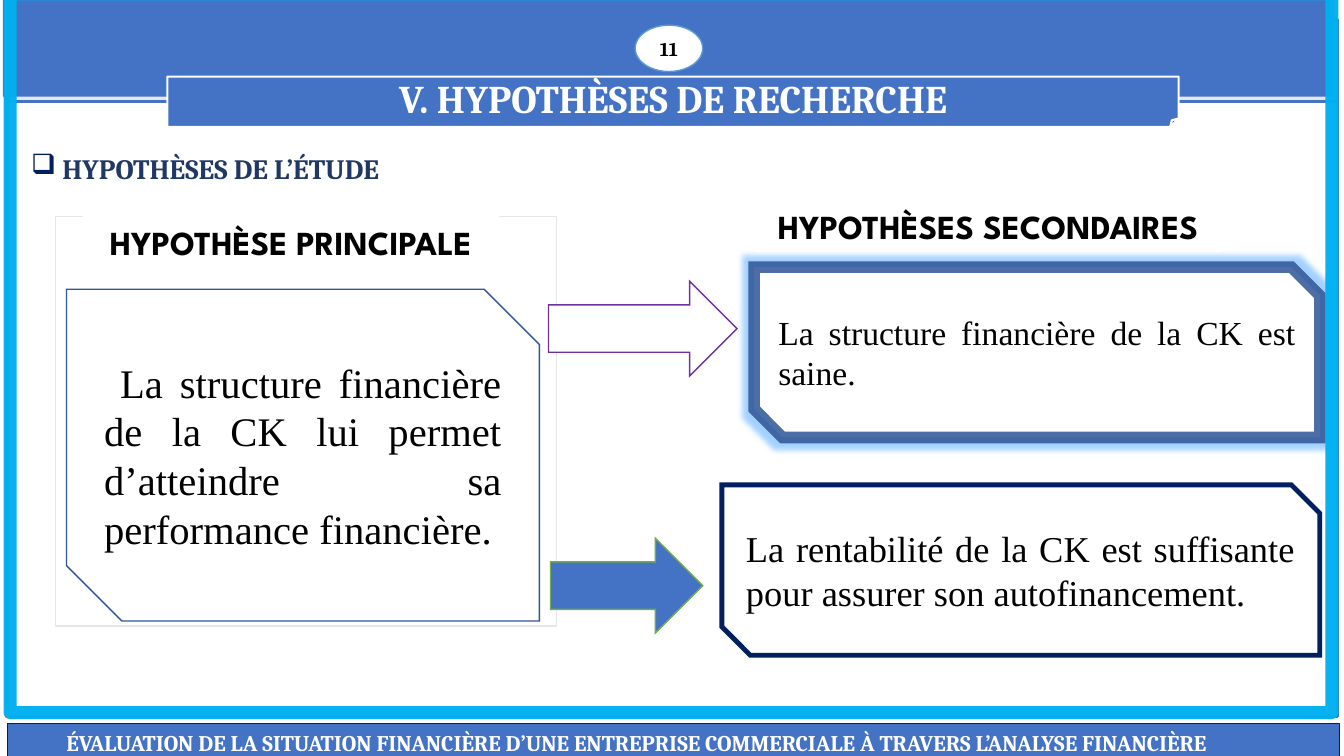
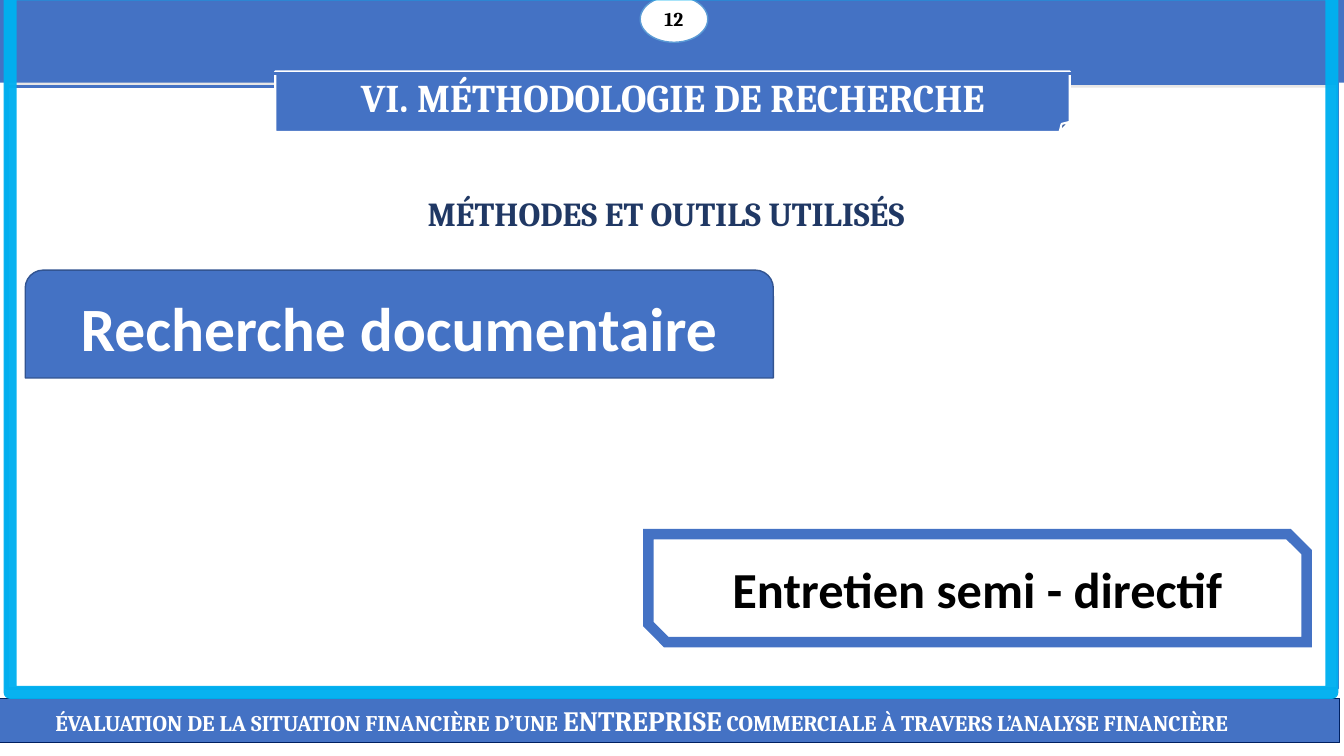
from dataclasses import dataclass

from lxml.etree import SubElement
from pptx import Presentation
from pptx.dml.color import RGBColor
from pptx.enum.shapes import MSO_CONNECTOR, MSO_SHAPE
from pptx.enum.text import MSO_ANCHOR, PP_ALIGN
from pptx.oxml.ns import qn
from pptx.util import Inches, Pt


@dataclass(frozen=True)
class Theme:
    # Colours
    blue: str = "4472C4"
    deep_blue: str = "2F5597"
    tab_edge: str = "325491"
    navy: str = "002060"
    heading: str = "203864"
    cyan: str = "00B0F0"
    oval_edge: str = "5B9BD5"
    glow: str = "66B3FF"
    grey: str = "E7E6E6"
    purple: str = "7030A0"
    green: str = "70AD47"
    white: str = "FFFFFF"
    black: str = "000000"
    # Fonts
    serif: str = "Cambria"
    body: str = "Times New Roman"
    label: str = "League Spartan"
    sans: str = "Calibri"
    # Type sizes
    title_size: int = 28
    label_size: int = 24
    heading_size: int = 20
    footer_size: int = 16
    number_size: int = 14
    main_size: int = 29
    tab_size: int = 44
    method_size: int = 36


THEME = Theme()


def write(box, text, size, font=THEME.serif, color=THEME.white, bold=True,
          align=PP_ALIGN.LEFT, anchor=MSO_ANCHOR.MIDDLE, spacing=None,
          indent=0, margin=0, bullet=None):
    """Fill a box with one paragraph; text is a string or (text, size) pairs."""
    frame = box.text_frame
    frame.word_wrap = True
    frame.vertical_anchor = anchor
    para = frame.paragraphs[0]
    para.alignment = align
    if spacing:
        para.line_spacing = spacing
    if indent or margin:
        properties = para._p.get_or_add_pPr()
        properties.set("marL", str(Inches(margin)))
        properties.set("indent", str(Inches(indent)))
    if bullet:
        tint = SubElement(properties, qn("a:buClr"))
        SubElement(tint, qn("a:srgbClr"), val=THEME.navy)
        SubElement(properties, qn("a:buChar"), char=bullet)
    pieces = [(text, size)] if isinstance(text, str) else text
    for piece, piece_size in pieces:
        span = para.add_run()
        span.text = piece
        span.font.size = Pt(piece_size)
        span.font.name = font
        span.font.bold = bold
        span.font.color.rgb = RGBColor.from_string(color)


class Slides:
    """Holds the deck, its style and the current page."""

    def __init__(self, theme):
        self.theme = theme
        self.deck = Presentation()
        self.deck.slide_width = Inches(13.33)
        self.deck.slide_height = Inches(7.5)
        self.page = None

    def add_page(self):
        self.page = self.deck.slides.add_slide(self.deck.slide_layouts[6])

    def shape(self, place, kind=MSO_SHAPE.RECTANGLE, fill=None, edge=None,
              width=1, opacity=None, miter=False):
        box = self.page.shapes.add_shape(kind, *map(Inches, place))
        box.shadow.inherit = False
        if fill:
            box.fill.solid()
            box.fill.fore_color.rgb = RGBColor.from_string(fill)
        else:
            box.fill.background()
        if not edge:
            box.line.fill.background()
            return box
        box.line.color.rgb = RGBColor.from_string(edge)
        box.line.width = Pt(width)
        outline = box.line._get_or_add_ln()
        if opacity:
            tint = outline.find(".//" + qn("a:srgbClr"))
            SubElement(tint, qn("a:alpha"), val=str(opacity * 1000))
        if miter:
            SubElement(outline, qn("a:miter"), lim="800000")
        return box

    def snipped(self, place, text, size, edge, width, opacity=None, **format):
        box = self.shape(place, MSO_SHAPE.SNIP_2_DIAG_RECTANGLE,
                         self.theme.white, edge, width, opacity, miter=True)
        look = dict(font=self.theme.body, color=self.theme.black, bold=False,
                    align=PP_ALIGN.JUSTIFY)
        write(box, text, size, **{**look, **format})
        return box

    def glow(self, box, radius):
        effects = box._element.spPr.find(qn("a:effectLst"))
        halo = SubElement(effects, qn("a:glow"), rad=str(Inches(radius)))
        tint = SubElement(halo, qn("a:srgbClr"), val=self.theme.glow)
        SubElement(tint, qn("a:alpha"), val="60000")

    def label(self, place, text):
        write(self.shape(place, fill=self.theme.white), text,
              self.theme.label_size, font=self.theme.label,
              color=self.theme.black, align=PP_ALIGN.CENTER,
              anchor=MSO_ANCHOR.TOP, spacing=1.5)

    def heading(self, place, text, size, **format):
        box = self.page.shapes.add_textbox(*map(Inches, place))
        write(box, text, size, color=self.theme.heading,
              anchor=MSO_ANCHOR.TOP, **format)

    def rule(self, start, end, y):
        line = self.page.shapes.add_connector(
            MSO_CONNECTOR.STRAIGHT, Inches(start), Inches(y), Inches(end), Inches(y))
        line.line.color.rgb = RGBColor.from_string(self.theme.blue)
        line.line.width = Pt(2.25)
        SubElement(line._element.spPr, qn("a:effectLst"))
        return line

    def header(self, under, band, title_place, title, rule_heights=None):
        """Band, title and side rules; rules meet the title's middle by default."""
        theme = self.theme
        self.shape(under, fill=theme.grey)
        self.shape(band, fill=theme.blue)
        left, top, width, height = title_place
        left_y, right_y = rule_heights or [top + height / 2] * 2
        left_rule = self.rule(0.08, left, left_y)
        right_rule = self.rule(left + width, 13.27, right_y)
        box = self.shape(title_place, MSO_SHAPE.FOLDED_CORNER, theme.blue,
                         theme.white, 1.5)
        write(box, title, theme.title_size, align=PP_ALIGN.CENTER)
        if not rule_heights:
            left_rule.end_connect(box, 1)
            right_rule.begin_connect(box, 3)

    def number(self, left, top, text):
        oval = self.shape((left, top, 0.67, 0.46), MSO_SHAPE.OVAL,
                          self.theme.white, self.theme.oval_edge)
        write(oval, text, self.theme.number_size, color=self.theme.black,
              align=PP_ALIGN.CENTER)

    def footer(self, place, emphasis):
        size = self.theme.footer_size
        box = self.shape(place, fill=self.theme.blue, edge=self.theme.navy,
                         width=0.75)
        write(box, [("ÉVALUATION DE LA SITUATION FINANCIÈRE D’UNE ", size),
                    ("ENTREPRISE", emphasis),
                    (" COMMERCIALE À TRAVERS L’ANALYSE FINANCIÈRE", size)],
              size, indent=0.49)

    def frame(self, inner_top, outer_height):
        self.shape((0.07, inner_top, 13.2, 6.92), edge=self.theme.blue, width=2.25)
        self.shape((0.1, -0.06, 13.11, outer_height), edge=self.theme.cyan,
                   width=9.25, opacity=97)


def hypotheses(slides):
    theme = slides.theme
    slides.add_page()
    slides.shape((0.55, 2.15, 4.97, 4.06), edge=theme.grey)
    slides.header((0.06, 0.19, 13.22, 0.82), (0.03, -0.1, 13.2, 1.06),
                  (1.66, 0.76, 10.03, 0.5), "V. HYPOTHÈSES DE RECHERCHE")
    slides.heading((0.21, 1.45, 4.53, 0.44), "HYPOTHÈSES DE L’ÉTUDE",
                   theme.heading_size, margin=0.31, indent=-0.31, bullet="❑")

    # Main hypothesis
    slides.snipped((0.66, 2.87, 4.69, 3.29),
                   "La structure financière de la CK lui permet d’atteindre "
                   "sa performance financière.",
                   theme.main_size, theme.deep_blue, 1, indent=0.16)
    slides.label((0.82, 1.95, 4.13, 0.71), "HYPOTHÈSE PRINCIPALE")

    # Secondary hypotheses
    sound = slides.snipped((7.48, 2.65, 5.61, 1.69),
                           "La structure financière de la CK est saine.",
                           24, theme.deep_blue, 8.25, 85)
    slides.glow(sound, 0.11)
    slides.label((7.5, 1.79, 4.6, 0.71), "HYPOTHÈSES SECONDAIRES")
    slides.snipped((7.16, 4.81, 5.93, 1.69),
                   "La rentabilité de la CK est suffisante pour assurer "
                   "son autofinancement.", 26, theme.navy, 3.5)

    # Arrows
    for place, fill, edge in (
            ((5.44, 2.79, 1.87, 0.94), theme.white, theme.purple),
            ((5.46, 5.34, 1.51, 0.94), theme.blue, theme.green)):
        slides.shape(place, MSO_SHAPE.RIGHT_ARROW, fill, edge, miter=True)

    slides.number(6.3, 0.25, "11")
    slides.footer((0.07, 7.18, 13.22, 0.37), theme.footer_size)
    slides.frame(0.19, 7.13)


def methodology(slides):
    theme = slides.theme
    slides.add_page()
    slides.header((0.06, 0.05, 13.22, 0.82), (0, -0.09, 13.33, 0.91),
                  (2.73, 0.71, 7.88, 0.6), "VI. MÉTHODOLOGIE DE RECHERCHE",
                  rule_heights=(0.86, 0.83))
    slides.heading((-0.04, 1.66, 13.29, 0.68), "MÉTHODES ET OUTILS UTILISÉS",
                   theme.label_size, align=PP_ALIGN.CENTER, spacing=1.5)
    slides.number(6.35, -0.04, "12")
    slides.footer((-0.04, 6.93, 13.33, 0.44), theme.heading_size)
    slides.shape((0.09, -0.04, 13.2, 0.77), edge=theme.blue, width=2.25)

    # Methods
    tab = slides.shape((0.25, 2.68, 7.42, 1.07),
                       MSO_SHAPE.ROUND_2_SAME_RECTANGLE, theme.blue, theme.tab_edge)
    write(tab, "Recherche documentaire", theme.tab_size, font=theme.sans,
          align=PP_ALIGN.CENTER)
    slides.snipped((6.43, 5.3, 6.53, 1.07), "Entretien semi - directif",
                   theme.method_size, theme.blue, 7.5, font=theme.sans,
                   bold=True, align=PP_ALIGN.CENTER)
    slides.frame(-0.09, 6.93)


def main():
    slides = Slides(THEME)
    hypotheses(slides)
    methodology(slides)
    slides.deck.save("out.pptx")


if __name__ == "__main__":
    main()
